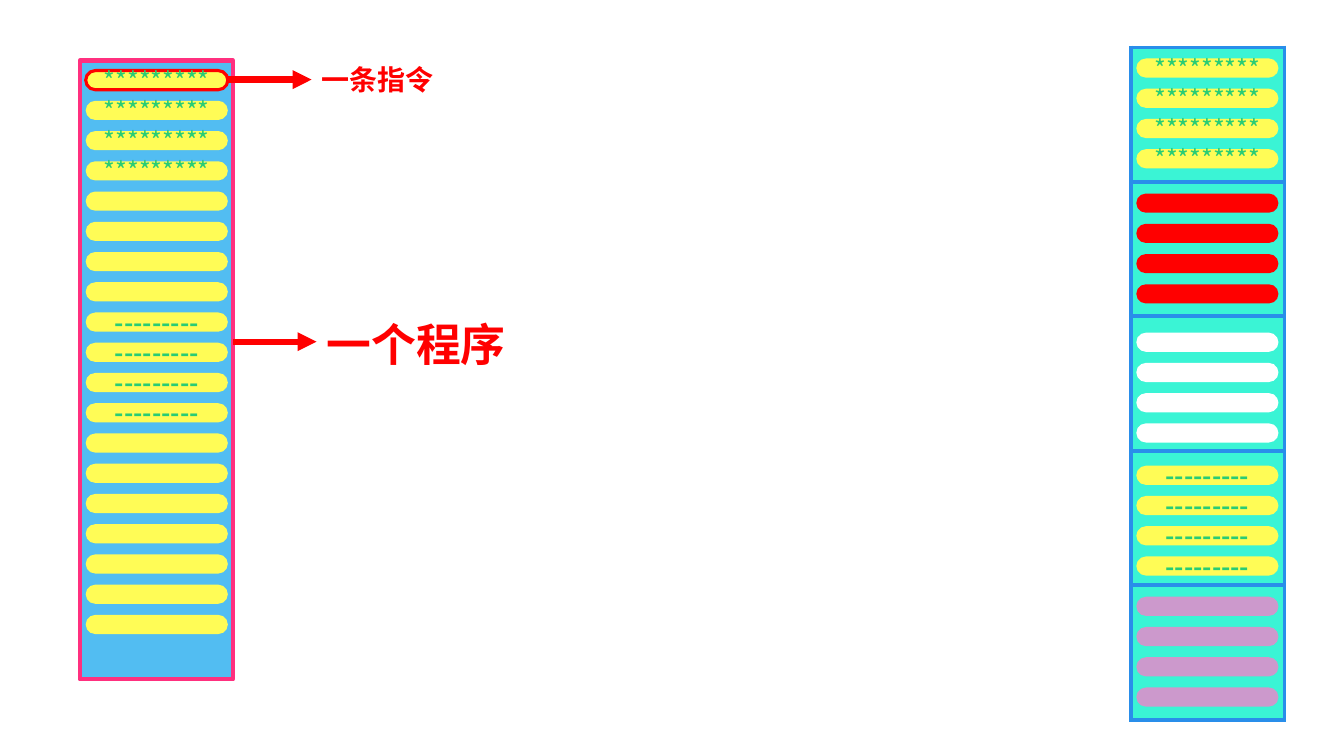
from lxml.etree import SubElement
from pptx import Presentation
from pptx.dml.color import RGBColor
from pptx.enum.shapes import MSO_CONNECTOR as Connector, MSO_SHAPE as Shape
from pptx.enum.text import MSO_ANCHOR as Anchor, MSO_AUTO_SIZE as AutoSize, PP_ALIGN as Align
from pptx.oxml import parse_xml
from pptx.oxml.ns import nsdecls, qn
from pptx.util import Inches, Pt

FONT = "Noto Sans CJK SC"
COLORS = {
    "program": "52BDF2", "program_edge": "FF307F", "memory": "3AF4D5", "memory_edge": "298EEA",
    "yellow": "FFFC56", "red": "FF0000", "white": "FFFFFF", "purple": "CC99CC", "code": "28CC75",
}
STARS = ("*" * 9, {"size": Pt(18), "bold": False})
DASHES = ("-" * 9, {"size": Pt(18), "bold": True})
BLANK = ("", {})
PITCH = 0.3
PROGRAM_BLOCKS = [(STARS, 4), (BLANK, 4), (DASHES, 4), (BLANK, 7)]
MEMORY_BLOCKS = [
    (0.58, "yellow", STARS), (1.92, "red", BLANK), (3.3, "white", BLANK),
    (4.62, "yellow", DASHES), (5.92, "purple", BLANK),
]


def rgb(name):
    """Return the named colour."""
    return RGBColor.from_string(COLORS[name])


def set_format(target, values):
    """Set every attribute listed in values on target."""
    for attribute, value in values.items():
        setattr(target, attribute, value)


def write(frame, words, style, color):
    """Write one run in the slide font and return its paragraph."""
    paragraph = frame.paragraphs[0]
    run = paragraph.add_run()
    run.text = words
    set_format(run.font, {"name": FONT, **style})
    run.font.color.rgb = rgb(color)
    SubElement(run.font._element, qn("a:ea"), typeface=FONT)
    return paragraph


def add_block(slide, kind, box, fill, edge=None, width=0):
    """Add a filled shape with an optional outline."""
    block = slide.shapes.add_shape(kind, *map(Inches, box))
    block.shadow.inherit = False
    block.fill.solid()
    block.fill.fore_color.rgb = rgb(fill)
    if edge:
        block.line.color.rgb = rgb(edge)
        block.line.width = Pt(width)
    else:
        block.line.fill.background()
    return block


def add_instruction(slide, left, top, fill, content, edge=None):
    """Add one instruction as a pill holding its code."""
    pill = add_block(slide, Shape.ROUNDED_RECTANGLE, (left, top, 1.41, 0.19), fill, edge, 2.25)
    pill.adjustments[0] = 0.5
    words, style = content
    if words:
        pill.text_frame.vertical_anchor = Anchor.MIDDLE
        write(pill.text_frame, words, style, "code").alignment = Align.CENTER


def add_program(slide):
    """Add the program with its column of instructions."""
    add_block(slide, Shape.RECTANGLE, (0.79, 0.6, 1.52, 6.14), "program", "program_edge", 3)
    contents = [content for content, count in PROGRAM_BLOCKS for _ in range(count)]
    for index, content in enumerate(contents):
        edge = "red" if index == 0 else None
        add_instruction(slide, 0.85, 0.7 + index * PITCH, "yellow", content, edge)


def add_memory(slide):
    """Add the memory table and the four instructions in each row."""
    rows = len(MEMORY_BLOCKS)
    box = map(Inches, (11.22, 0.47, 1.52, 6.67))
    memory = slide.shapes.add_table(rows, 1, *box).table
    set_format(memory, {"first_row": False, "horz_banding": False})
    for row, (top, fill, content) in enumerate(MEMORY_BLOCKS):
        cell = memory.cell(row, 0)
        cell.fill.solid()
        cell.fill.fore_color.rgb = rgb("memory")
        for order, side in enumerate("LRTB"):
            border = parse_xml(
                f'<a:ln{side} {nsdecls("a")} w="{Pt(3)}"><a:solidFill>'
                f'<a:srgbClr val="{COLORS["memory_edge"]}"/></a:solidFill></a:ln{side}>')
            cell._tc.get_or_add_tcPr().insert(order, border)
        for index in range(4):
            add_instruction(slide, 11.27, top + index * PITCH, fill, content)


def add_label(slide, box, words, size):
    """Add a bold red label."""
    label = slide.shapes.add_textbox(*map(Inches, box))
    set_format(label.text_frame, {"word_wrap": False, "auto_size": AutoSize.SHAPE_TO_FIT_TEXT})
    write(label.text_frame, words, {"size": Pt(size), "bold": True}, "red")


def add_arrow(slide, start, end, y):
    """Add a horizontal red arrow."""
    ends = map(Inches, (start, y, end, y))
    arrow = slide.shapes.add_connector(Connector.STRAIGHT, *ends)
    arrow.line.color.rgb = rgb("red")
    arrow.line.width = Pt(4.5)
    SubElement(arrow.line._get_or_add_ln(), qn("a:tailEnd"), type="triangle")
    SubElement(arrow._element.spPr, qn("a:effectLst"))


def main():
    """Build the slide and save it."""
    deck = Presentation()
    set_format(deck, {"slide_width": Inches(13.33), "slide_height": Inches(7.5)})
    slide = deck.slides.add_slide(deck.slide_layouts[6])
    add_program(slide)
    add_memory(slide)
    add_label(slide, (3.14, 3.09, 2, 0.64), "一个程序", 32)
    add_label(slide, (3.09, 0.57, 1.32, 0.44), "一条指令", 20)
    add_arrow(slide, 2.26, 3.09, 0.79)
    add_arrow(slide, 2.31, 3.14, 3.39)
    deck.save("out.pptx")


main()
